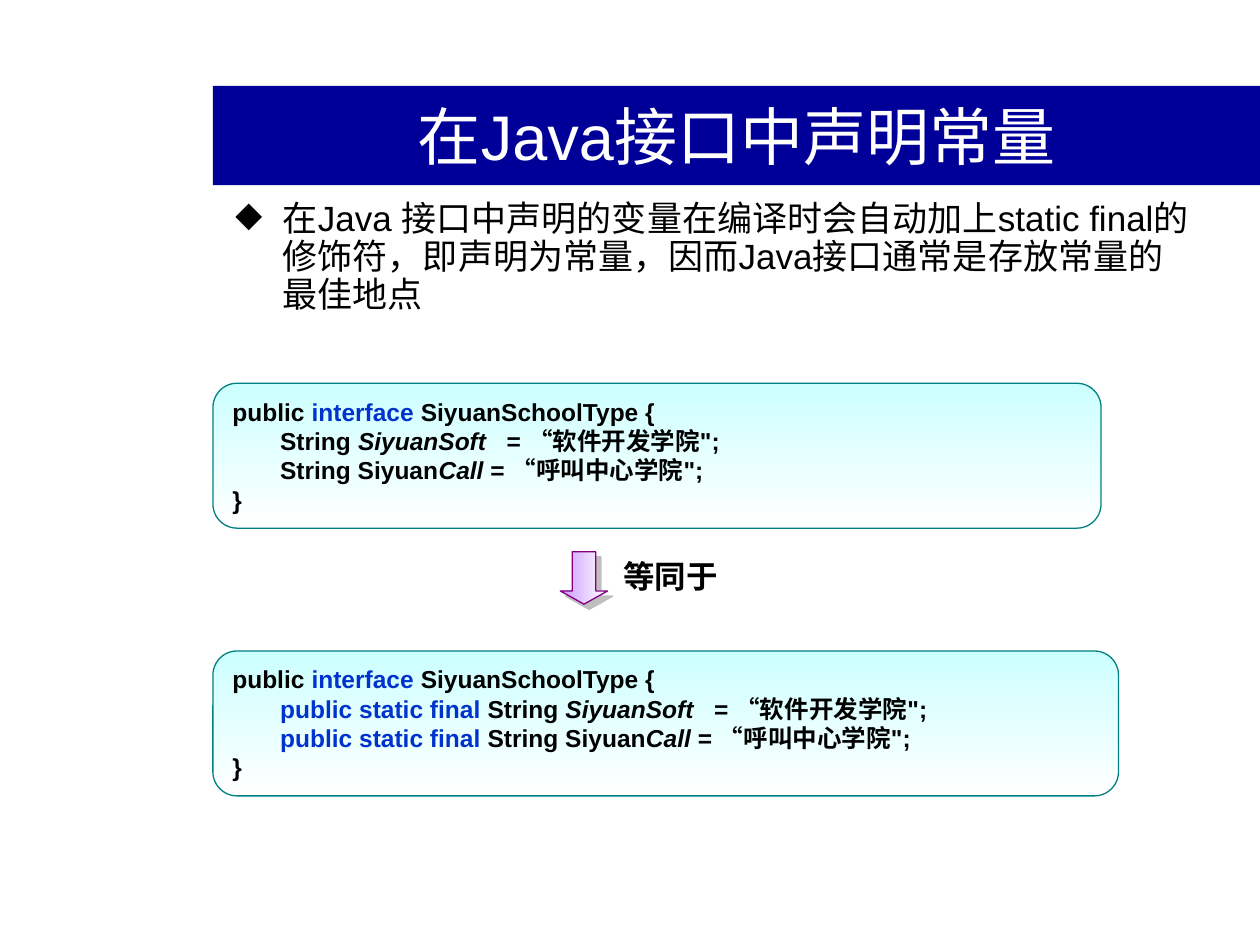
from lxml.etree import SubElement
from pptx import Presentation
from pptx.dml.color import RGBColor
from pptx.enum.shapes import MSO_SHAPE
from pptx.enum.text import MSO_ANCHOR, MSO_AUTO_SIZE, PP_ALIGN
from pptx.oxml.ns import qn
from pptx.util import Pt

BLACK, BLUE = "000000", "0033CC"
HEAD = [("public ", ""), ("interface ", "key"), ("SiyuanSchoolType {", "")]
SOFT = [("String ", ""), ("SiyuanSoft", "name"), ("   = “软件开发学院\";", "")]
CALL = [("String Siyuan", ""), ("Call", "name"), (" = “呼叫中心学院\";", "")]


def rgb(code):
    """Turn a hex string into a colour."""
    return RGBColor.from_string(code)


def place(shape, box):
    """Set a shape's box, given in points."""
    shape.left, shape.top, shape.width, shape.height = map(Pt, box)


def write(para, text, size, color=BLACK, bold=False, italic=False):
    """Add one run to a paragraph."""
    run = para.add_run()
    run.text = text
    font = run.font
    font.name, font.size = "Arial", Pt(size)
    font.bold, font.italic = bold, italic
    font.color.rgb = rgb(color)


def paint(shape, start, angle, line):
    """Fill a shape with a fade to white and outline it."""
    shape.shadow.inherit = False
    shape.fill.gradient()
    shape.fill.gradient_angle = angle
    for stop, code in zip(shape.fill.gradient_stops, (start, "FFFFFF")):
        stop.color.rgb = rgb(code)
    shape.line.color.rgb = rgb(line)
    shape.line.width = Pt(0.75)


def add_title(slide, box):
    """Format the title bar."""
    title = slide.shapes.title
    place(title, box)
    title.fill.solid()
    title.fill.fore_color.rgb = rgb("000099")
    frame = title.text_frame
    frame.vertical_anchor = MSO_ANCHOR.MIDDLE
    para = frame.paragraphs[0]
    para.alignment = PP_ALIGN.CENTER
    write(para, "在Java接口中声明常量", 36, "FFFFFF")


def add_point(slide, box):
    """Add the bulleted statement."""
    frame = slide.shapes.add_textbox(*map(Pt, box)).text_frame
    frame.word_wrap = True
    para = frame.paragraphs[0]
    props = para._p.get_or_add_pPr()
    props.set("marL", str(Pt(27)))
    props.set("indent", str(Pt(-27)))
    tint = SubElement(props, qn("a:buClr"))
    SubElement(tint, qn("a:srgbClr"), val=BLACK)
    SubElement(props, qn("a:buChar"), char="◆")
    para.line_spacing = 0.9
    write(para, "在Java 接口中声明的变量在编译时会自动加上static final"
                "的修饰符，即声明为常量，因而Java接口通常是存放常量的最佳地点", 20)


def add_code(slide, box, prefix):
    """Add a code panel whose fields carry the given modifiers."""
    panel = slide.shapes.add_shape(MSO_SHAPE.ROUNDED_RECTANGLE, *map(Pt, box))
    paint(panel, "CCFFFF", 270, "008080")
    frame = panel.text_frame
    frame.word_wrap = True
    frame.vertical_anchor = MSO_ANCHOR.TOP
    lead = [("       ", "")] + prefix
    for num, line in enumerate([HEAD, lead + SOFT, lead + CALL, [("}", "")]]):
        para = frame.add_paragraph() if num else frame.paragraphs[0]
        para.alignment = PP_ALIGN.LEFT
        for text, role in line:
            color = BLUE if role == "key" else BLACK
            write(para, text, 14, color, True, role == "name")


def add_arrow(slide, box):
    """Add the downward arrow with its shadow."""
    arrow = slide.shapes.add_shape(MSO_SHAPE.RIGHT_ARROW, *map(Pt, box))
    arrow.rotation = 90
    arrow.adjustments[0], arrow.adjustments[1] = 0.5, 0.28
    paint(arrow, "CC99FF", 0, "800080")
    props = arrow._element.spPr
    props.find(qn("a:gradFill")).set("rotWithShape", "0")
    cast = SubElement(props.find(qn("a:effectLst")), qn("a:outerShdw"),
                      dist=str(Pt(4.2)), dir="2700000", algn="ctr", rotWithShape="0")
    tint = SubElement(cast, qn("a:srgbClr"), val="808080")
    SubElement(tint, qn("a:alpha"), val="50000")


def add_label(slide, box):
    """Add the label beside the arrow."""
    frame = slide.shapes.add_textbox(*map(Pt, box)).text_frame
    frame.word_wrap = False
    frame.auto_size = MSO_AUTO_SIZE.SHAPE_TO_FIT_TEXT
    write(frame.paragraphs[0], "等同于", 18, bold=True)


def main():
    """Build and save the slide."""
    deck = Presentation()
    deck.slide_width, deck.slide_height = Pt(720), Pt(540)
    slide = deck.slides.add_slide(deck.slide_layouts[5])
    left = 121.7
    add_title(slide, (left, 49, 720 - left, 56.8))
    add_point(slide, (127.5, 111.6, 561.5, 87))
    add_code(slide, (left, 372, 517.5, 82.8), [("public static final ", "key")])
    add_code(slide, (left, 219, 507.5, 82.8), [])
    add_arrow(slide, (318.7, 316.8, 30, 27))
    add_label(slide, (349, 314.6, 68.4, 28.8))
    deck.save("out.pptx")


if __name__ == "__main__":
    main()
